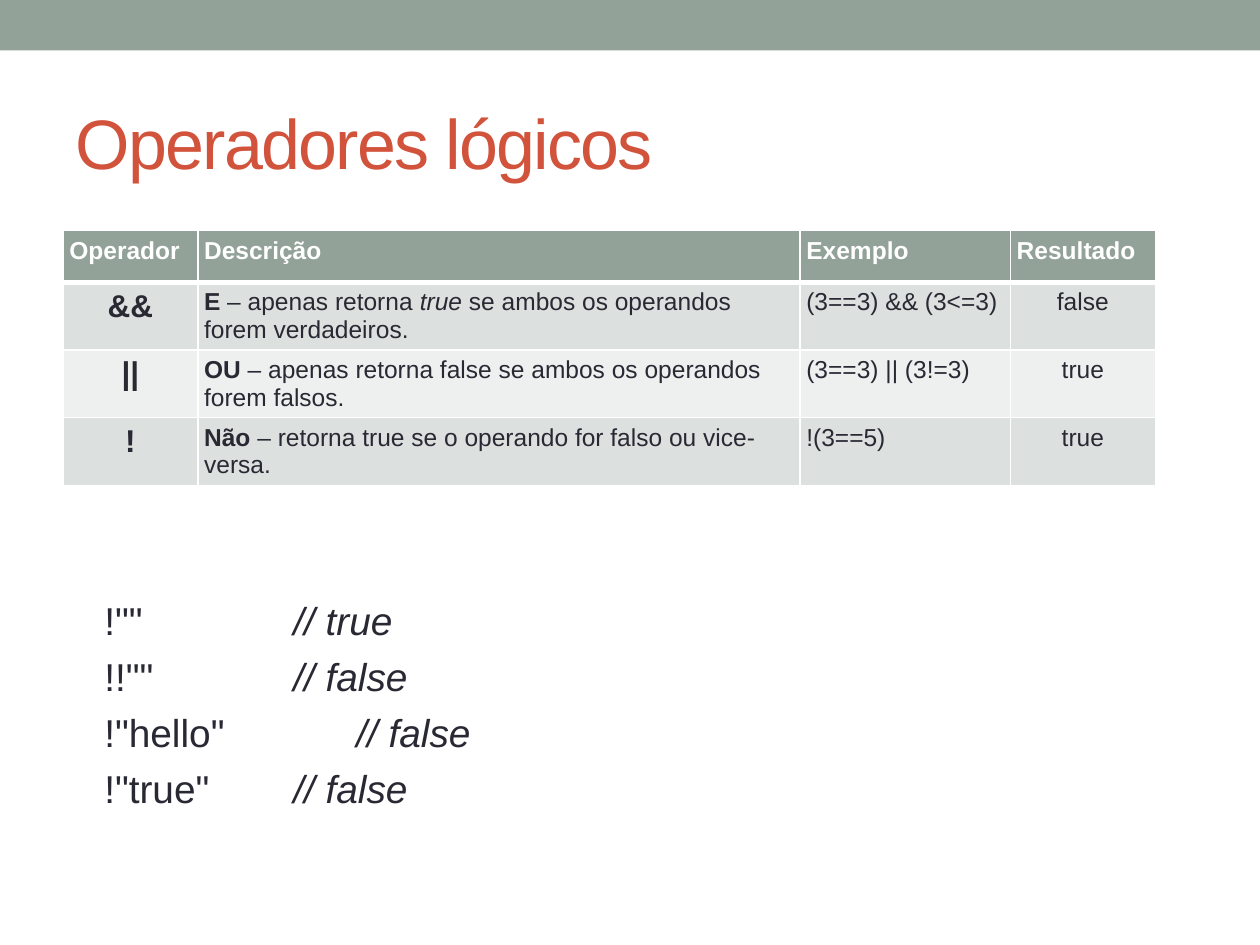
from dataclasses import dataclass

import pptx
import pptx.dml.color
import pptx.enum.shapes
import pptx.enum.text
import pptx.oxml
import pptx.oxml.ns
import pptx.util
from pptx.util import Inches

ALIGN = pptx.enum.text.PP_ALIGN
ANCHOR = pptx.enum.text.MSO_ANCHOR


@dataclass(frozen=True)
class Theme:
    font: str = "Arial"
    sage: str = "93A299"
    title: str = "D2533C"
    ink: str = "292934"
    white: str = "FFFFFF"
    bands: tuple = ("DCE0DE", "EEF0EF")
    title_size: float = 40
    code_size: float = 22.2
    operator_size: float = 18
    cell_size: float = 14


THEME = Theme()
BOLD = {"bold": True}
ITALIC = {"italic": True}

COLUMN_WIDTHS = (1.07, 4.78, 1.67, 1.15)
ROW_HEIGHT = 0.41
HEADERS = ("Operador", "Descrição", "Exemplo", "Resultado")
OPERATORS = (
    ("&&",
     [("E", BOLD), (" – apenas retorna ", {}), ("true", ITALIC),
      (" se ambos os operandos forem verdadeiros.", {})],
     "(3==3) && (3<=3)", "false"),
    ("||",
     [("OU", BOLD),
      (" – apenas retorna false se ambos os operandos forem falsos.", {})],
     "(3==3) || (3!=3)", "true"),
    ("!",
     [("Não", BOLD),
      (" – retorna true se o operando for falso ou vice-versa.", {})],
     "!(3==5)", "true"),
)
CODE_LINES = (
    ('!"" \t\t\t', "// true"),
    ('!!"" \t\t\t', "// false"),
    ('!"hello" \t\t', "// false"),
    ('!"true" \t\t', "// false"),
)


def rgb(color):
    return pptx.dml.color.RGBColor.from_string(color)


def set_attributes(target, values):
    for name, value in values.items():
        setattr(target, name, value)


def add_runs(paragraph, runs, size, color):
    """Add (text, format) pairs as runs and return them."""
    added = []
    for text, extra in runs:
        run = paragraph.add_run()
        run.text = text
        values = {"name": THEME.font, "size": pptx.util.Pt(size),
                  "bold": False, "italic": False, **extra}
        set_attributes(run.font, values)
        run.font.color.rgb = rgb(color)
        added.append(run)
    return added


def place(shape, left, top, width, height):
    set_attributes(shape, {"left": Inches(left), "top": Inches(top),
                           "width": Inches(width), "height": Inches(height)})


def add_band(slide):
    band = slide.shapes.add_shape(
        pptx.enum.shapes.MSO_SHAPE.RECTANGLE, 0, 0, Inches(10), Inches(0.4))
    band.shadow.inherit = False
    band.fill.solid()
    band.fill.fore_color.rgb = rgb(THEME.sage)
    band.line.fill.background()


def set_title(slide, text):
    title = slide.shapes.title
    place(title, 0.5, 0.58, 9, 1.08)
    title.text_frame.vertical_anchor = ANCHOR.MIDDLE
    paragraph = title.text_frame.paragraphs[0]
    paragraph.alignment = ALIGN.LEFT
    run, = add_runs(paragraph, [(text, {})], THEME.title_size, THEME.title)
    run.font._element.set("spc", "-100")


def set_borders(cell, widths):
    """Draw white borders; widths maps L, R, T and B to points."""
    properties = cell._tc.get_or_add_tcPr()
    for index, (side, width) in enumerate(widths.items()):
        properties.insert(index, pptx.oxml.parse_xml(
            f'<a:ln{side} {pptx.oxml.ns.nsdecls("a")} w="{pptx.util.Pt(width)}">'
            f'<a:solidFill><a:srgbClr val="{THEME.white}"/></a:solidFill>'
            f'</a:ln{side}>'))


def fill_cell(cell, runs, size, color, fill, alignment):
    margin = Inches(0.05)
    set_attributes(cell, {"margin_left": margin, "margin_right": margin,
                          "margin_top": margin, "margin_bottom": margin})
    cell.fill.solid()
    cell.fill.fore_color.rgb = rgb(fill)
    paragraph = cell.text_frame.paragraphs[0]
    paragraph.alignment = alignment
    add_runs(paragraph, runs, size, color)


def add_operator_table(slide):
    row_count = len(OPERATORS) + 1
    table = slide.shapes.add_table(
        row_count, len(HEADERS), Inches(0.5), Inches(1.83),
        Inches(sum(COLUMN_WIDTHS)), Inches(ROW_HEIGHT * row_count)).table
    for column, width in zip(table.columns, COLUMN_WIDTHS):
        column.width = Inches(width)
    for index, header in enumerate(HEADERS):
        cell = table.cell(0, index)
        fill_cell(cell, [(header, BOLD)], THEME.cell_size, THEME.white,
                  THEME.sage, ALIGN.LEFT)
        set_borders(cell, {"L": 1, "R": 1, "T": 1, "B": 3})
    for row, (operator, description, example, result) in enumerate(OPERATORS, 1):
        contents = (
            ([(operator, BOLD)], THEME.operator_size, ALIGN.CENTER),
            (description, THEME.cell_size, ALIGN.LEFT),
            ([(example, {})], THEME.cell_size, ALIGN.LEFT),
            ([(result, {})], THEME.cell_size, ALIGN.CENTER),
        )
        fill = THEME.bands[(row - 1) % 2]
        for index, (runs, size, alignment) in enumerate(contents):
            cell = table.cell(row, index)
            fill_cell(cell, runs, size, THEME.ink, fill, alignment)
            set_borders(cell, {"L": 1, "R": 1, "T": 3 if row == 1 else 1, "B": 1})


def add_code(slide):
    box = slide.shapes.add_textbox(
        Inches(0.43), Inches(4.69), Inches(8.66), Inches(1.7))
    frame = box.text_frame
    frame.word_wrap = True
    for index, (code, comment) in enumerate(CODE_LINES):
        paragraph = frame.add_paragraph() if index else frame.paragraphs[0]
        paragraph.space_before = pptx.util.Pt(5.3)
        properties = paragraph._p.get_or_add_pPr()
        properties.set("marL", str(Inches(0.3)))
        properties.set("indent", "0")
        add_runs(paragraph, [(code, {}), (comment, ITALIC)],
                 THEME.code_size, THEME.ink)


def main():
    presentation = pptx.Presentation()
    presentation.slide_width = Inches(10)
    presentation.slide_height = Inches(7.5)
    slide = presentation.slides.add_slide(presentation.slide_layouts[5])
    add_band(slide)
    set_title(slide, "Operadores lógicos")
    add_operator_table(slide)
    add_code(slide)
    presentation.save("out.pptx")


if __name__ == "__main__":
    main()
